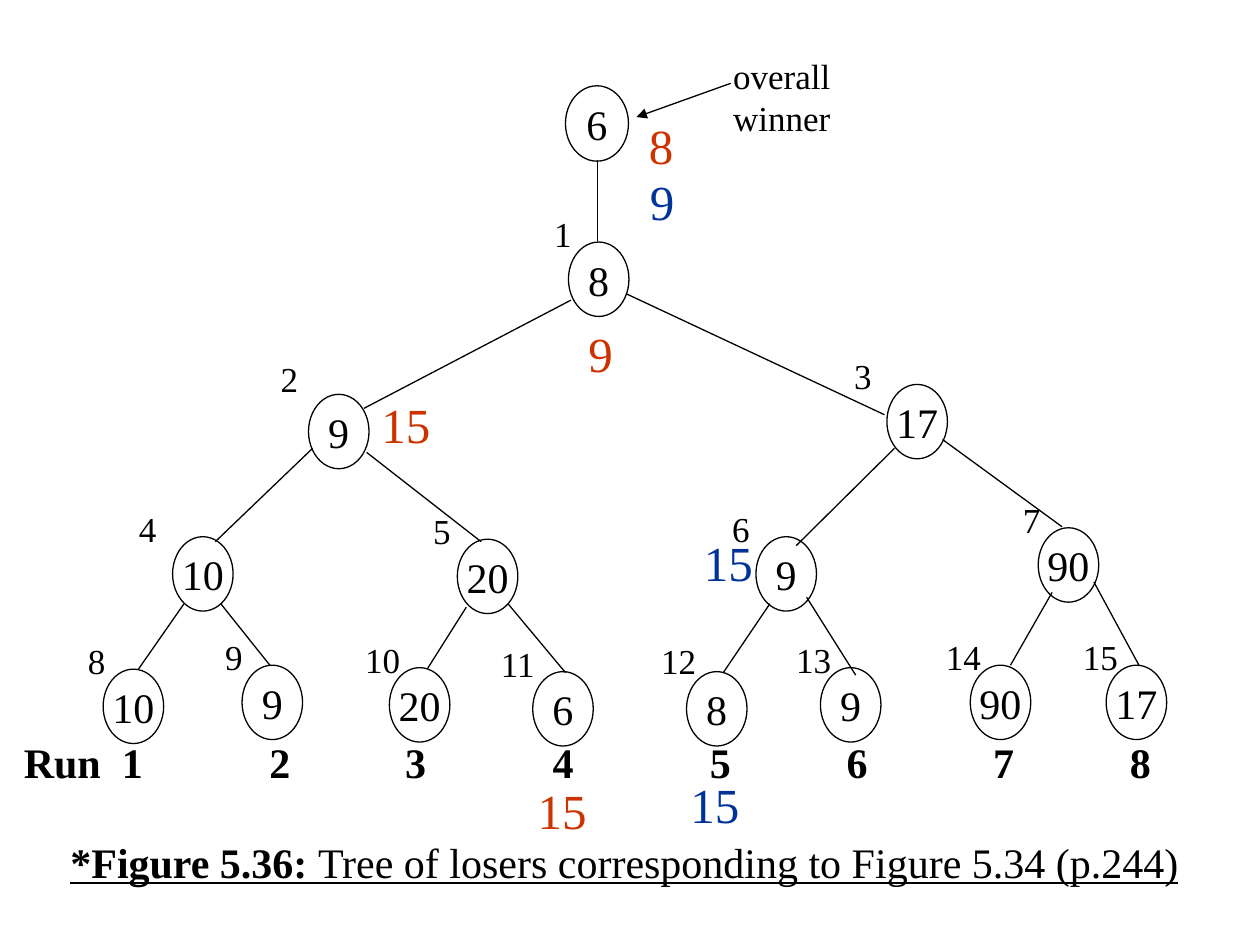
from lxml import etree
from pptx import Presentation
from pptx import util as u
from pptx.dml.color import RGBColor
from pptx.enum import shapes, text
from pptx.oxml.ns import qn

FONT = "Times New Roman"
HUES = {"ink": "000000", "red": "CC3300", "blue": "003399"}
NODE = (1.22, 1.5)
ROOT = (1.27, 1.52)

# Tree index: value, node left and top, then the index label's offset from it
NODES = {
    1: ("8", 11.46, 4.88, -0.54, -0.72),
    2: ("9", 6.22, 7.95, -0.81, -0.86),
    3: ("17", 17.88, 7.75, -0.91, -0.72),
    4: ("10", 3.48, 10.82, -0.93, -0.72),
    5: ("20", 9.22, 10.87, -0.74, -0.72),
    6: ("9", 15.24, 10.82, -0.73, -0.72),
    7: ("90", 20.93, 10.64, -0.56, -0.72),
    8: ("10", 2.08, 13.49, -0.56, -0.72),
    9: ("9", 4.88, 13.41, -0.59, -0.72),
    10: ("20", 7.85, 13.46, -0.74, -0.72),
    11: ("6", 10.74, 13.54, -0.89, -0.72),
    12: ("8", 13.84, 13.54, -0.76, -0.77),
    13: ("9", 16.54, 13.46, -0.74, -0.72),
    14: ("90", 19.56, 13.41, -0.74, -0.72),
    15: ("17", 22.3, 13.41, -0.72, -0.72),
}
EDGES = [
    (12.04, 3.23, 12.04, 4.85),
    (11.51, 6.05, 7.34, 8.23), (12.62, 5.92, 17.83, 8.36),
    (6.3, 9.04, 4.34, 10.92), (7.39, 9.12, 9.7, 10.92),
    (18.03, 9.04, 16.05, 11), (19, 8.86, 21.41, 10.62),
    (3.71, 12.17, 2.79, 13.49), (4.45, 12.17, 5.44, 13.41),
    (9.4, 12.24, 8.61, 13.49), (10.24, 12.17, 11.4, 13.56),
    (15.52, 12.17, 14.58, 13.56), (16.26, 12.04, 17.25, 13.61),
    (21.21, 11.94, 20.37, 13.41), (22.05, 11.73, 22.96, 13.41),
]
# Values that replay the matches: text, left, top, colour
MARKS = [
    ("15", 10.59, 15.6, "red"), ("15", 7.44, 7.82, "red"),
    ("9", 11.61, 6.4, "red"), ("8", 12.83, 2.21, "red"),
    ("15", 13.67, 15.49, "blue"), ("15", 13.94, 10.62, "blue"),
    ("9", 12.85, 3.33, "blue"),
]
RUN_TABS = [1.98, 4.95, 7.69, 10.66, 13.83, 16.59, 19.54, 22.3]


def style(para, size, hue="ink", bold=None):
    font = para.font
    font.name, font.size, font.bold = FONT, u.Pt(size), bold
    font.color.rgb = RGBColor.from_string(HUES[hue])


def write(slide, box, lines, size, hue="ink"):
    shape = slide.shapes.add_textbox(*map(u.Cm, box))
    frame = shape.text_frame
    frame.word_wrap = True
    frame.text = "\n".join(lines)
    for para in frame.paragraphs:
        style(para, size, hue)
    return frame.paragraphs[0]


def link(slide, ends, arrow=False):
    line = slide.shapes.add_connector(
        shapes.MSO_CONNECTOR.STRAIGHT, *map(u.Cm, ends))
    line.line.width = u.Pt(0.75)
    line.line.color.rgb = RGBColor.from_string(HUES["ink"])
    if arrow:
        etree.SubElement(line.line._get_or_add_ln(), qn("a:tailEnd"),
                         type="triangle")
    etree.SubElement(line._element.spPr, qn("a:effectLst"))


def node(slide, box, value):
    oval = slide.shapes.add_shape(
        shapes.MSO_SHAPE.OVAL, *map(u.Cm, box))
    oval.shadow.inherit = False
    oval.fill.background()
    oval.line.width = u.Pt(0.75)
    oval.line.color.rgb = RGBColor.from_string(HUES["ink"])
    frame = oval.text_frame
    frame.word_wrap = False
    frame.vertical_anchor = text.MSO_ANCHOR.MIDDLE
    frame.text = value
    frame.paragraphs[0].alignment = text.PP_ALIGN.CENTER
    style(frame.paragraphs[0], 24)


def tree(slide, left, top):
    for index, (value, x, y, dx, dy) in NODES.items():
        x, y = left + x, top + y
        node(slide, (x, y, *NODE), value)
        write(slide, (x + dx, y + dy, 1.4, 1.09), [str(index)], 20)
    for x1, y1, x2, y2 in EDGES:
        link(slide, (left + x1, top + y1, left + x2, top + y2))
    node(slide, (left + 11.4, top + 1.73, *ROOT), "6")


def marks(slide, left, top):
    for value, x, y, hue in MARKS:
        write(slide, (left + x, top + y, 1.6, 1.45), [value], 28, hue)


def winner(slide, left, top):
    """Callout that points at the root."""
    write(slide, (left, top, 2.6, 1.96), ["overall", "winner"], 20)
    link(slide, (left + 0.2, top + 0.71, left - 1.7, top + 1.39), True)


def runs(slide, box):
    """Row of run numbers, set on tab stops."""
    para = write(slide, box, ["\t".join(["Run", *map(str, range(1, 9))])], 24)
    stops = etree.Element(qn("a:tabLst"))
    for stop in RUN_TABS:
        etree.SubElement(stops, qn("a:tab"), pos=str(u.Cm(stop)), algn="l")
    para._p.get_or_add_pPr().insert(0, stops)
    style(para, 24, bold=True)


def caption(slide, box):
    para = write(slide, box, ["*Figure 5.36: "], 24)
    para.runs[0].font.bold = True
    para.add_run().text = "Tree of losers corresponding to Figure 5.34 (p.244)"
    for run in para.runs:
        run.font.underline = True


def main():
    deck = Presentation()
    deck.slide_width, deck.slide_height = u.Cm(25.4), u.Cm(19.05)
    slide = deck.slides.add_slide(deck.slide_layouts[6])
    tree(slide, 0, 0)
    runs(slide, (0.23, 14.73, 24, 1.27))
    winner(slide, 14.53, 0.97)
    caption(slide, (1.17, 16.74, 23.2, 1.27))
    marks(slide, 0, 0)
    deck.save("out.pptx")


if __name__ == "__main__":
    main()
